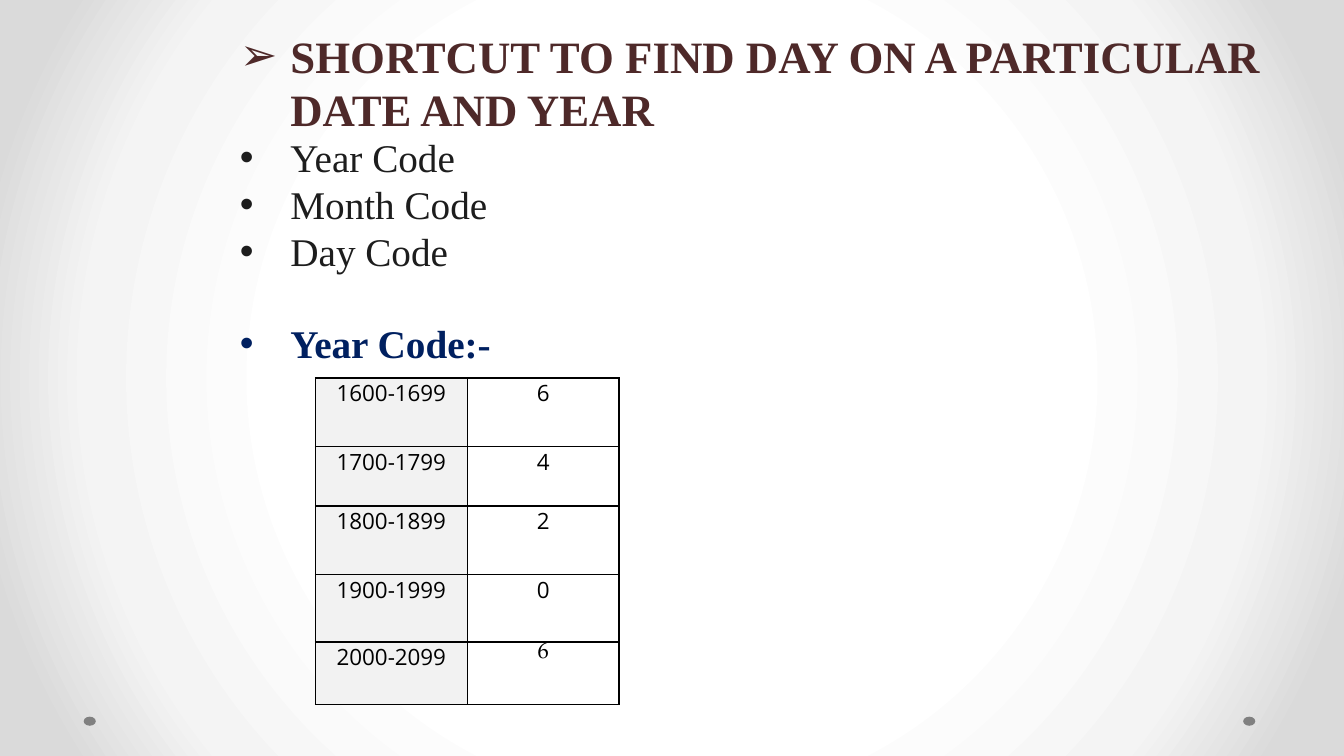
from pptx import Presentation
from pptx.dml.color import RGBColor
from pptx.enum.shapes import MSO_SHAPE
from pptx.enum.text import MSO_ANCHOR, MSO_AUTO_SIZE, PP_ALIGN
from pptx.oxml import parse_xml
from pptx.oxml.ns import nsdecls
from pptx.util import Inches, Pt

WIDTH, HEIGHT = 13.33, 7.5
TEXT_LEFT, TEXT_WIDTH = 2.28, 10.41
HEADING = "SHORTCUT TO FIND DAY ON A PARTICULAR DATE AND YEAR"
CODES = ["Year Code", "Month Code", "Day Code"]
SECTION = "Year Code:-"
YEAR_CODES = [("1600-1699", "6"), ("1700-1799", "4"), ("1800-1899", "2"),
              ("1900-1999", "0"), ("2000-2099", "6")]
ROW_HEIGHTS = [0.68, 0.59, 0.68, 0.67, 0.62]
COLUMN_FILLS = ["F2F2F2", "FFFFFF"]


def color(hex_value):
    return RGBColor.from_string(hex_value)


def place(shape, box):
    for name, value in zip(("left", "top", "width", "height"), box):
        setattr(shape, name, Inches(value))


def format_font(font, hex_value, **values):
    for name, value in values.items():
        setattr(font, name, value)
    font.color.rgb = color(hex_value)


def paint_background(slide):
    stops = "".join(
        f'<a:gs pos="{share * 1000}"><a:srgbClr val="{hex_value}"/></a:gs>'
        for share, hex_value in [(50, "FFFFFF"), (76, "F4F4F4"), (92, "DADADA")])
    slide.element.cSld.insert(0, parse_xml(
        f'<p:bg {nsdecls("p", "a")}><p:bgPr><a:gradFill rotWithShape="1">'
        f'<a:gsLst>{stops}</a:gsLst><a:path path="circle">'
        '<a:fillToRect l="50000" t="50000" r="50000" b="50000"/></a:path>'
        '</a:gradFill><a:effectLst/></p:bgPr></p:bg>'))


def add_corner_dots(slide):
    for left in (0.83, 12.33):
        dot = slide.shapes.add_shape(MSO_SHAPE.OVAL, Inches(left), Inches(7.11),
                                     Inches(0.12), Inches(0.09))
        dot.shadow.inherit = False
        dot.fill.solid()
        dot.fill.fore_color.rgb = color("808080")
        dot.line.fill.background()


def write_bullet(paragraph, text, bullet, hex_value, size, bold, gap=0):
    for name, value in {"text": text, "alignment": PP_ALIGN.LEFT,
                        "space_before": Pt(gap), "line_spacing": 1.0}.items():
        setattr(paragraph, name, value)
    format_font(paragraph.runs[0].font, hex_value,
                name="Times New Roman", size=Pt(size), bold=bold)
    properties = paragraph._p.get_or_add_pPr()
    properties.set("marL", str(Inches(0.5)))
    properties.set("indent", str(-Inches(0.5)))
    for tag, attribute, value in [("buFont", "typeface", "Arial"),
                                  ("buChar", "char", bullet)]:
        properties.append(parse_xml(
            f'<a:{tag} {nsdecls("a")} {attribute}="{value}"/>'))


def prepare_placeholder(placeholder, box):
    place(placeholder, box)
    frame = placeholder.text_frame
    for name, value in {"word_wrap": True, "auto_size": MSO_AUTO_SIZE.NONE,
                        "vertical_anchor": MSO_ANCHOR.TOP}.items():
        setattr(frame, name, value)
    return frame


def fill_heading(slide, box):
    frame = prepare_placeholder(slide.shapes.title, box)
    write_bullet(frame.paragraphs[0], HEADING, "➢", "4E2929", 32, True)


def fill_code_list(slide, box):
    frame = prepare_placeholder(slide.placeholders[1], box)
    paragraph = frame.paragraphs[0]
    for code in CODES:
        write_bullet(paragraph, code, "•", "1D1D1D", 28, False)
        paragraph = frame.add_paragraph()
    write_bullet(paragraph, SECTION, "•", "002060", 28, True, gap=32)


def add_borders(cell):
    properties = cell._tc.get_or_add_tcPr()
    for side in "LRTB":
        properties.append(parse_xml(
            f'<a:ln{side} {nsdecls("a")} w="{Pt(1)}"><a:solidFill>'
            f'<a:srgbClr val="000000"/></a:solidFill></a:ln{side}>'))


def write_cell(cell, text, fill, font_name):
    for name, value in {"margin_left": 0.07, "margin_right": 0.07,
                        "margin_top": 0, "margin_bottom": 0}.items():
        setattr(cell, name, Inches(value))
    add_borders(cell)
    cell.fill.solid()
    cell.fill.fore_color.rgb = color(fill)
    paragraph = cell.text_frame.paragraphs[0]
    paragraph.text = text
    paragraph.alignment = PP_ALIGN.CENTER
    format_font(paragraph.runs[0].font, "000000", name=font_name, size=Pt(16))


def add_year_table(slide, left, top, width):
    table = slide.shapes.add_table(
        len(YEAR_CODES), len(COLUMN_FILLS), Inches(left), Inches(top),
        Inches(width), Inches(sum(ROW_HEIGHTS))).table
    table.first_row = table.horz_banding = False
    for row, height in zip(table.rows, ROW_HEIGHTS):
        row.height = Inches(height)
    last = (len(YEAR_CODES) - 1, len(COLUMN_FILLS) - 1)
    for row, texts in enumerate(YEAR_CODES):
        for column, text in enumerate(texts):
            font_name = "TeX Gyre Pagella" if (row, column) == last else "Open Sans"
            write_cell(table.cell(row, column), text, COLUMN_FILLS[column], font_name)


def main():
    presentation = Presentation()
    presentation.slide_width = Inches(WIDTH)
    presentation.slide_height = Inches(HEIGHT)
    slide = presentation.slides.add_slide(presentation.slide_layouts[1])
    paint_background(slide)
    add_corner_dots(slide)
    fill_heading(slide, (TEXT_LEFT, 0.23, TEXT_WIDTH, 1.1))
    fill_code_list(slide, (TEXT_LEFT, 1.27, TEXT_WIDTH, 2.44))
    add_year_table(slide, 3.13, 3.75, 3.01)
    presentation.save("out.pptx")


if __name__ == "__main__":
    main()
